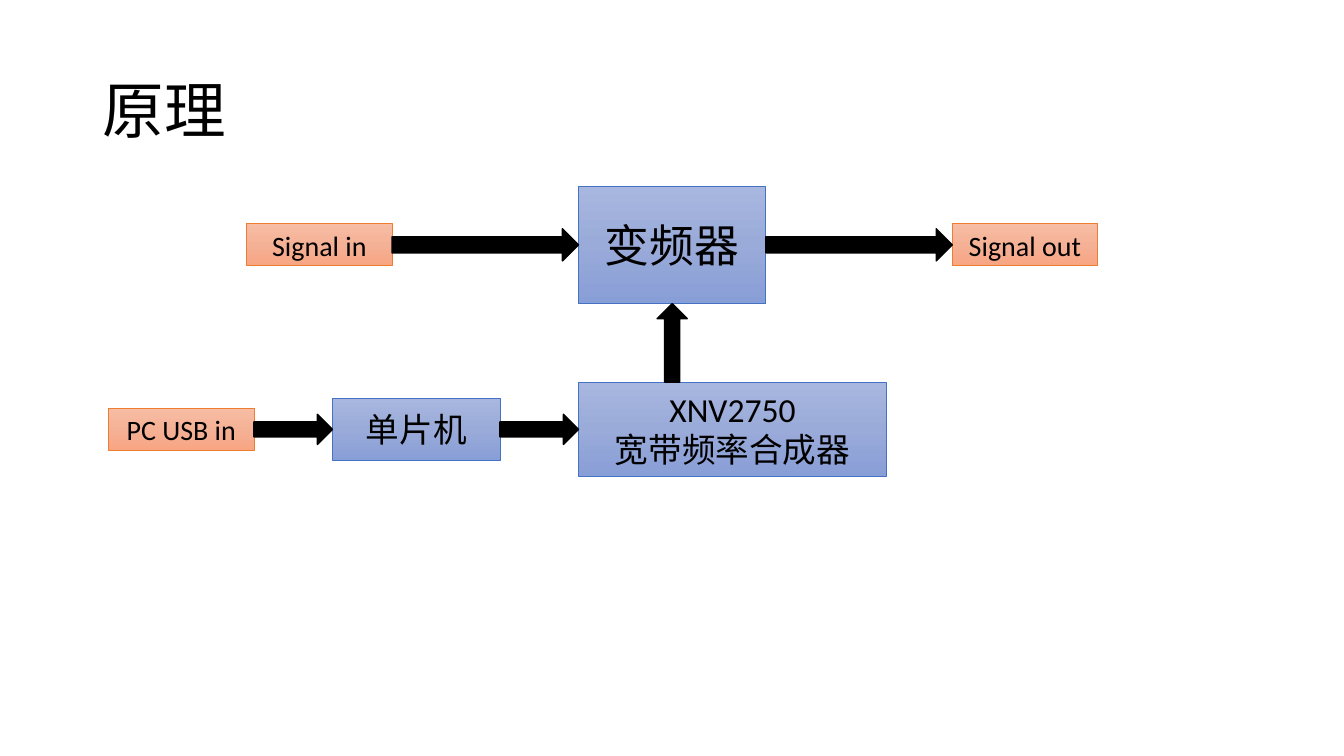
from copy import deepcopy

from pptx import Presentation
from pptx.dml.color import RGBColor
from pptx.enum.shapes import MSO_SHAPE as Preset
from pptx.enum.text import MSO_ANCHOR as Anchor, PP_ALIGN as Align
from pptx.util import Cm, Pt

BLACK = "000000"
BLUE = {"stops": ("A8B7DF", "9AABD9", "889ED7"), "edge": "4472C4"}
ORANGE = {"stops": ("F7BDA5", "F5B196", "F8A582"), "edge": "ED7D31"}

rgb = RGBColor.from_string


def write(shape, text, size, align=Align.CENTER, spacing=1.0):
    frame = shape.text_frame
    frame.text = text
    frame.word_wrap = True
    frame.vertical_anchor = Anchor.MIDDLE
    for paragraph in frame.paragraphs:
        paragraph.alignment = align
        paragraph.line_spacing = spacing
        font = paragraph.runs[0].font
        font.name, font.size = "Calibri", Pt(size)
        font.color.rgb = rgb(BLACK)


prs = Presentation()
prs.slide_width, prs.slide_height = Cm(33.87), Cm(19.05)
slide = prs.slides.add_slide(prs.slide_layouts[5])

title = slide.shapes.title
title.left, title.top, title.width, title.height = Cm(2.33), Cm(1.01), Cm(29.21), Cm(3.68)
write(title, "原理", 44, align=Align.LEFT, spacing=0.9)

# Blocks: text, left, middle height, width, height, text size, palette
signal_y, control_y = 6.17, 10.82
signal_in = ("Signal in", 6.22, signal_y, 3.66, 1.06, 20, ORANGE)
mixer = ("变频器", 14.58, signal_y, 4.72, 2.96, 32, BLUE)
signal_out = ("Signal out", 24, signal_y, 3.66, 1.06, 20, ORANGE)
usb_in = ("PC USB in", 2.74, control_y, 3.66, 1.06, 20, ORANGE)
controller = ("单片机", 8.38, control_y, 4.22, 1.57, 24, BLUE)
synthesizer = ("XNV2750\n宽带频率合成器", 14.58, control_y, 7.76, 2.38, 24, BLUE)

for text, left, middle, width, height, size, palette in (
        signal_in, mixer, signal_out, usb_in, controller, synthesizer):
    block = slide.shapes.add_shape(
        Preset.RECTANGLE, Cm(left), Cm(middle - height / 2), Cm(width), Cm(height))
    block.shadow.inherit = False
    block.fill.gradient()
    block.fill.gradient_angle = 270
    first_stop = block.fill._fill._gradFill.gsLst[0]
    first_stop.addnext(deepcopy(first_stop))
    for stop, position, color in zip(block.fill.gradient_stops, (0, 0.5, 1), palette["stops"]):
        stop.position = position
        stop.color.rgb = rgb(color)
    block.line.color.rgb = rgb(palette["edge"])
    block.line.width = Pt(0.5)
    write(block, text, size)

# Arrows: centre x, centre y, length, thickness, rotation
arrows = []
for source, target, thickness in (
        (signal_in, mixer, 0.81), (mixer, signal_out, 0.81),
        (usb_in, controller, 0.76), (controller, synthesizer, 0.76)):
    start, end = source[1] + source[3], target[1]
    arrows.append(((start + end) / 2, source[2], end - start, thickness, 0))

mixer_bottom = signal_y + mixer[4] / 2
synthesizer_top = control_y - synthesizer[4] / 2
arrows.append((mixer[1] + mixer[3] / 2, (mixer_bottom + synthesizer_top) / 2,
               synthesizer_top - mixer_bottom, 0.76, 270))

for x, y, length, thickness, rotation in arrows:
    arrow = slide.shapes.add_shape(
        Preset.RIGHT_ARROW, Cm(x - length / 2), Cm(y - thickness / 2), Cm(length), Cm(thickness))
    arrow.rotation = rotation
    arrow.shadow.inherit = False
    arrow.fill.solid()
    arrow.fill.fore_color.rgb = rgb(BLACK)
    arrow.line.color.rgb = rgb(BLACK)
    arrow.line.width = Pt(1)

prs.save("out.pptx")
